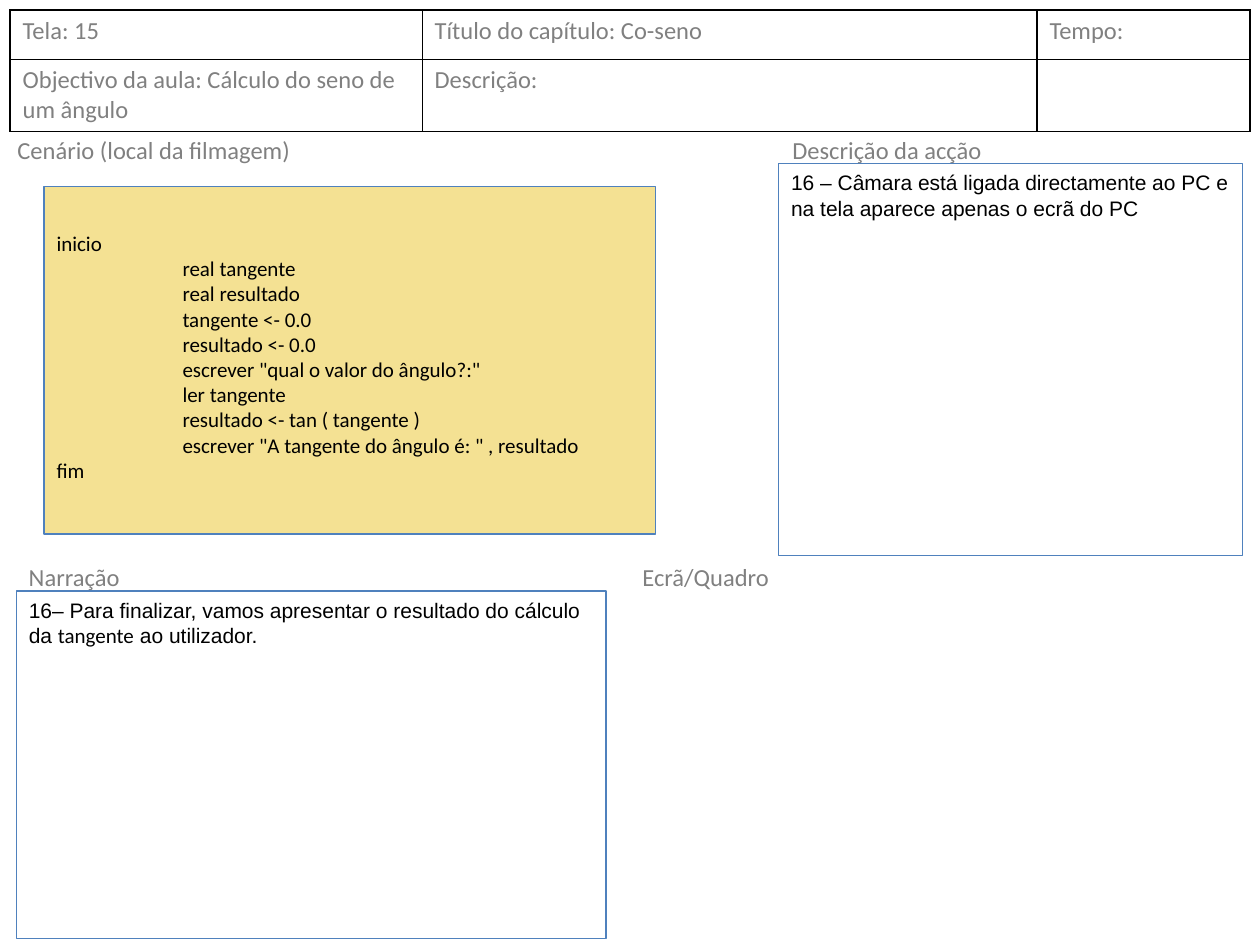
from dataclasses import dataclass
from typing import Optional

import lxml.etree
import pptx
import pptx.dml.color
import pptx.enum.shapes
import pptx.enum.text
import pptx.oxml.ns
import pptx.util

Inches = pptx.util.Inches
Pt = pptx.util.Pt
GREY = "808080"
BLACK = "000000"
THICK, THIN = 1, 0.5


@dataclass
class Run:
    text: str
    font: str = "Calibri"
    size: float = 12
    color: str = BLACK


@dataclass
class Line:
    runs: list[Run]
    indent: float = 0


@dataclass
class Box:
    left: float
    top: float
    width: float
    height: float
    lines: list[Line]
    fill: Optional[str] = None
    top_inset: float = 0.05


def rgb(value: str) -> pptx.dml.color.RGBColor:
    return pptx.dml.color.RGBColor.from_string(value)


def heading(text: str) -> Line:
    return Line([Run(text, size=14, color=GREY)])


def write(tf, lines: list[Line]) -> None:
    for i, line in enumerate(lines):
        p = tf.paragraphs[0] if i == 0 else tf.add_paragraph()
        p.alignment = pptx.enum.text.PP_ALIGN.LEFT
        if line.indent:
            p._p.get_or_add_pPr().set("marL", str(Inches(line.indent)))
        for run in line.runs:
            r = p.add_run()
            r.text = run.text
            r.font.name = run.font
            r.font.size = Pt(run.size)
            r.font.color.rgb = rgb(run.color)


def fill_frame(sp, box: Box) -> None:
    tf = sp.text_frame
    tf.word_wrap = True
    tf.vertical_anchor = pptx.enum.text.MSO_ANCHOR.TOP
    tf.margin_top = Inches(box.top_inset)
    write(tf, box.lines)


def place(box: Box) -> tuple:
    return tuple(Inches(v) for v in (box.left, box.top, box.width, box.height))


def draw_label(s, box: Box) -> None:
    fill_frame(s.shapes.add_textbox(*place(box)), box)


def draw_panel(s, box: Box) -> None:
    sp = s.shapes.add_shape(pptx.enum.shapes.MSO_SHAPE.RECTANGLE, *place(box))
    sp.shadow.inherit = False
    sp.line.color.rgb = rgb("4F81BD")
    sp.line.width = Pt(0.75)
    if box.fill:
        sp.fill.solid()
        sp.fill.fore_color.rgb = rgb(box.fill)
    else:
        sp.fill.background()
    fill_frame(sp, box)


def set_borders(cell, widths: dict[str, float]) -> None:
    qn = pptx.oxml.ns.qn
    tcPr = cell._tc.get_or_add_tcPr()
    for i, (side, width) in enumerate(widths.items()):
        ln = lxml.etree.Element(qn(f"a:ln{side}"), w=str(Pt(width)))
        solid = lxml.etree.SubElement(ln, qn("a:solidFill"))
        lxml.etree.SubElement(solid, qn("a:srgbClr"), val=BLACK)
        tcPr.insert(i, ln)


def draw_table(s, rows: list[list[str]], widths: list[float], heights: list[float]) -> None:
    table = s.shapes.add_table(len(rows), len(widths), Inches(0.08), Inches(0.08),
                               Inches(sum(widths)), Inches(sum(heights))).table
    table.first_row = table.horz_banding = False
    for column, width in zip(table.columns, widths):
        column.width = Inches(width)
    verticals = [THICK, THIN, THICK, THICK]
    horizontals = [THICK, THIN, THICK]
    for y, texts in enumerate(rows):
        table.rows[y].height = Inches(heights[y])
        for x, text in enumerate(texts):
            cell = table.cell(y, x)
            cell.fill.background()
            set_borders(cell, {"L": verticals[x], "R": verticals[x + 1],
                               "T": horizontals[y], "B": horizontals[y + 1]})
            if text:
                write(cell.text_frame, [heading(text)])


HEADER = [
    ["Tela: 15", "Título do capítulo: Co-seno", "Tempo:"],
    ["Objectivo da aula: Cálculo do seno de um ângulo", "Descrição:", ""],
]
STATEMENTS = [
    "real tangente",
    "real resultado",
    "tangente <- 0.0",
    "resultado <- 0.0",
    'escrever "qual o valor do ângulo?:"',
    "ler tangente",
    "resultado <- tan ( tangente )",
    'escrever "A tangente do ângulo é: " , resultado',
]
CODE = [Line([Run("inicio")]), *(Line([Run(t)], 1) for t in STATEMENTS), Line([Run("fim")])]
NARRATION = Line([
    Run("16– Para finalizar, vamos apresentar o resultado do cálculo da ", "Arial"),
    Run("tangente"),
    Run(" ao utilizador.", "Arial"),
])
ACTION = Line([Run("16 – Câmara está ligada directamente ao PC e na tela aparece "
                   "apenas o ecrã do PC", "Arial")])
PANELS = [
    Box(0.13, 4.69, 4.68, 2.76, [NARRATION]),
    Box(0.35, 1.48, 4.85, 2.76, CODE, "F4E193", 0.35),
    Box(6.18, 1.3, 3.68, 3.11, [ACTION]),
]
LABELS = [
    Box(0.04, 1.02, 4.17, 0.33, [heading("Cenário (local da filmagem)")]),
    Box(0.13, 4.41, 4.64, 0.33, [heading("Narração")]),
    Box(5, 4.41, 4.64, 0.33, [heading("Ecrã/Quadro")]),
    Box(6.19, 1.02, 2.52, 0.33, [heading("Descrição da acção")]),
]


def main() -> None:
    prs = pptx.Presentation()
    prs.slide_width, prs.slide_height = Inches(10), Inches(7.5)
    s = prs.slides.add_slide(prs.slide_layouts[6])
    draw_table(s, HEADER, [3.27, 4.88, 1.69], [0.39, 0.57])
    for panel in PANELS:
        draw_panel(s, panel)
    for label in LABELS:
        draw_label(s, label)
    prs.save("out.pptx")


if __name__ == "__main__":
    main()
